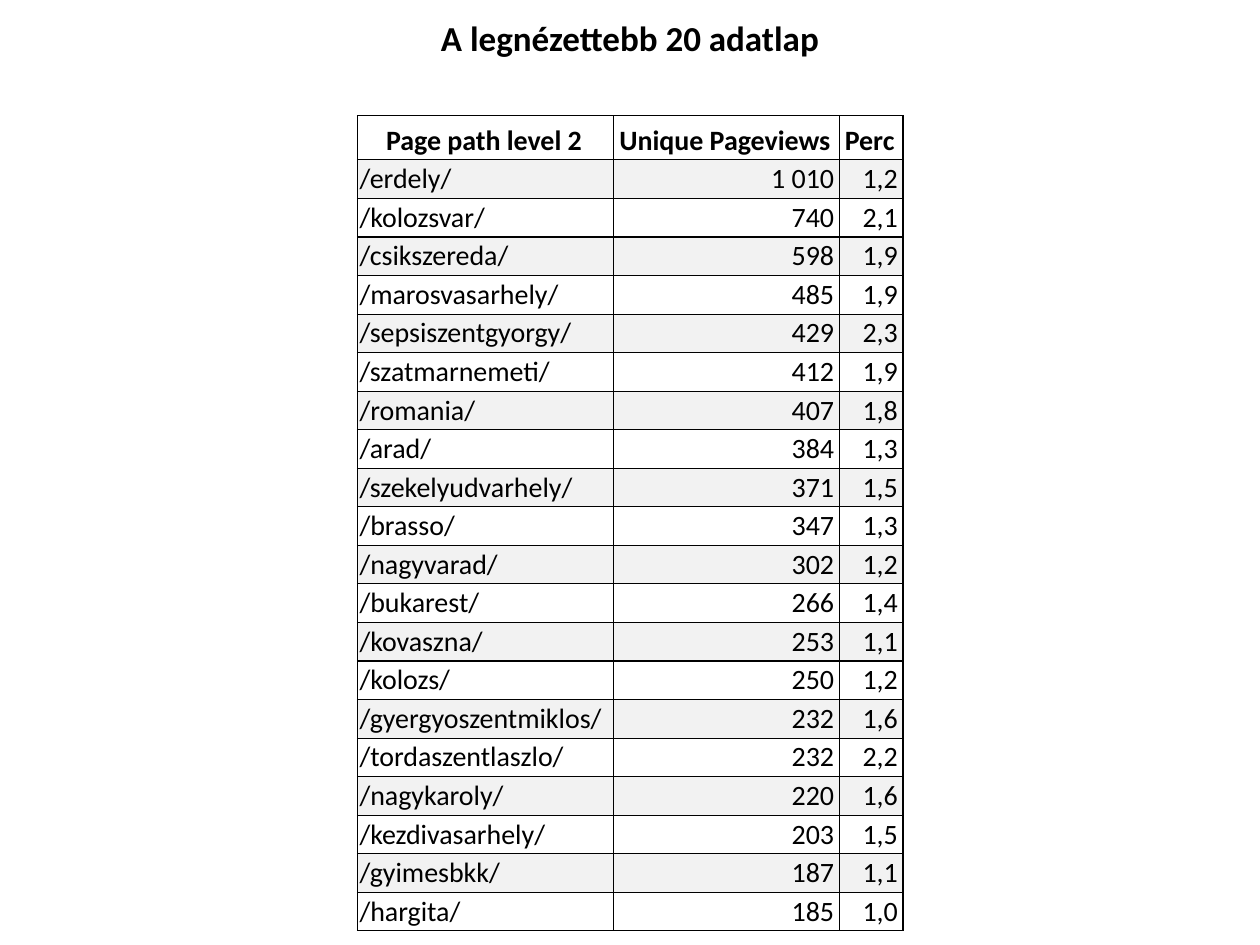
from lxml import etree
from pptx import Presentation
from pptx import util as u
from pptx.dml import color
from pptx.enum import text
from pptx.oxml import ns

PAGES = [
    ("/erdely/", "1 010", "1,2"),
    ("/kolozsvar/", "740", "2,1"),
    ("/csikszereda/", "598", "1,9"),
    ("/marosvasarhely/", "485", "1,9"),
    ("/sepsiszentgyorgy/", "429", "2,3"),
    ("/szatmarnemeti/", "412", "1,9"),
    ("/romania/", "407", "1,8"),
    ("/arad/", "384", "1,3"),
    ("/szekelyudvarhely/", "371", "1,5"),
    ("/brasso/", "347", "1,3"),
    ("/nagyvarad/", "302", "1,2"),
    ("/bukarest/", "266", "1,4"),
    ("/kovaszna/", "253", "1,1"),
    ("/kolozs/", "250", "1,2"),
    ("/gyergyoszentmiklos/", "232", "1,6"),
    ("/tordaszentlaszlo/", "232", "2,2"),
    ("/nagykaroly/", "220", "1,6"),
    ("/kezdivasarhely/", "203", "1,5"),
    ("/gyimesbkk/", "187", "1,1"),
    ("/hargita/", "185", "1,0"),
]
HEADINGS = ("Page path level 2", "Unique Pageviews", "Perc")
COLUMN_WIDTHS = (146.5, 128.9, 36.4)
HEADER_HEIGHT = 25.2
ROW_HEIGHT = 22.04


def rgb(value):
    return color.RGBColor.from_string(value)


def apply(target, values):
    for name, value in values.items():
        setattr(target, name, value)


class SlideBuilder:
    font = "Calibri"
    ink = "000000"
    band = "F2F2F2"
    border_width = 0.75
    cell_format = {
        "margin_left": u.Pt(1.25),
        "margin_top": u.Pt(1.25),
        "margin_right": u.Pt(3),
        "margin_bottom": u.Pt(1.25),
        "vertical_anchor": text.MSO_ANCHOR.BOTTOM,
    }

    def __init__(self, slide):
        self.slide = slide

    def label(self, frame, words, size, bold, align):
        paragraph = frame.paragraphs[0]
        paragraph.alignment = align
        run = paragraph.add_run()
        run.text = words
        apply(run.font, {"name": self.font, "size": u.Pt(size), "bold": bold})
        run.font.color.rgb = rgb(self.ink)

    def title(self, words, left, top, width, height):
        shape = self.slide.shapes.add_textbox(*map(u.Pt, (left, top, width, height)))
        apply(shape.text_frame, {
            "word_wrap": True,
            "auto_size": text.MSO_AUTO_SIZE.SHAPE_TO_FIT_TEXT,
        })
        self.label(shape.text_frame, words, 20, True, text.PP_ALIGN.CENTER)

    def borders(self, cell):
        properties = cell._tc.get_or_add_tcPr()
        for side in ("lnL", "lnR", "lnT", "lnB"):
            line = etree.SubElement(properties, ns.qn(f"a:{side}"),
                                    w=str(u.Pt(self.border_width)))
            fill = etree.SubElement(line, ns.qn("a:solidFill"))
            etree.SubElement(fill, ns.qn("a:srgbClr"), val=self.ink)

    def cell(self, cell, words, bold, align, banded):
        apply(cell, self.cell_format)
        self.borders(cell)
        if banded:
            cell.fill.solid()
            cell.fill.fore_color.rgb = rgb(self.band)
        else:
            cell.fill.background()
        self.label(cell.text_frame, words, 16, bold, align)

    def table(self, headings, rows, left, top):
        height = HEADER_HEIGHT + ROW_HEIGHT * len(rows)
        bounds = map(u.Pt, (left, top, sum(COLUMN_WIDTHS), height))
        table = self.slide.shapes.add_table(len(rows) + 1, len(headings), *bounds).table
        apply(table, {"first_row": False, "horz_banding": False})
        for column, width in zip(table.columns, COLUMN_WIDTHS):
            column.width = u.Pt(width)
        for r, values in enumerate([headings, *rows]):
            header = r == 0
            table.rows[r].height = u.Pt(HEADER_HEIGHT if header else ROW_HEIGHT)
            for c, words in enumerate(values):
                align = text.PP_ALIGN.LEFT if c == 0 else text.PP_ALIGN.RIGHT
                if header:
                    align = text.PP_ALIGN.CENTER
                self.cell(table.cell(r, c), words, header, align, r % 2 == 1)


def main():
    presentation = Presentation()
    apply(presentation, {"slide_width": u.Pt(720), "slide_height": u.Pt(540)})
    builder = SlideBuilder(presentation.slides.add_slide(presentation.slide_layouts[6]))
    builder.title("A legnézettebb 20 adatlap", 141.8, 5.8, 436.4, 31.5)
    builder.table(HEADINGS, PAGES, 204.2, 66.2)
    presentation.save("out.pptx")


if __name__ == "__main__":
    main()
